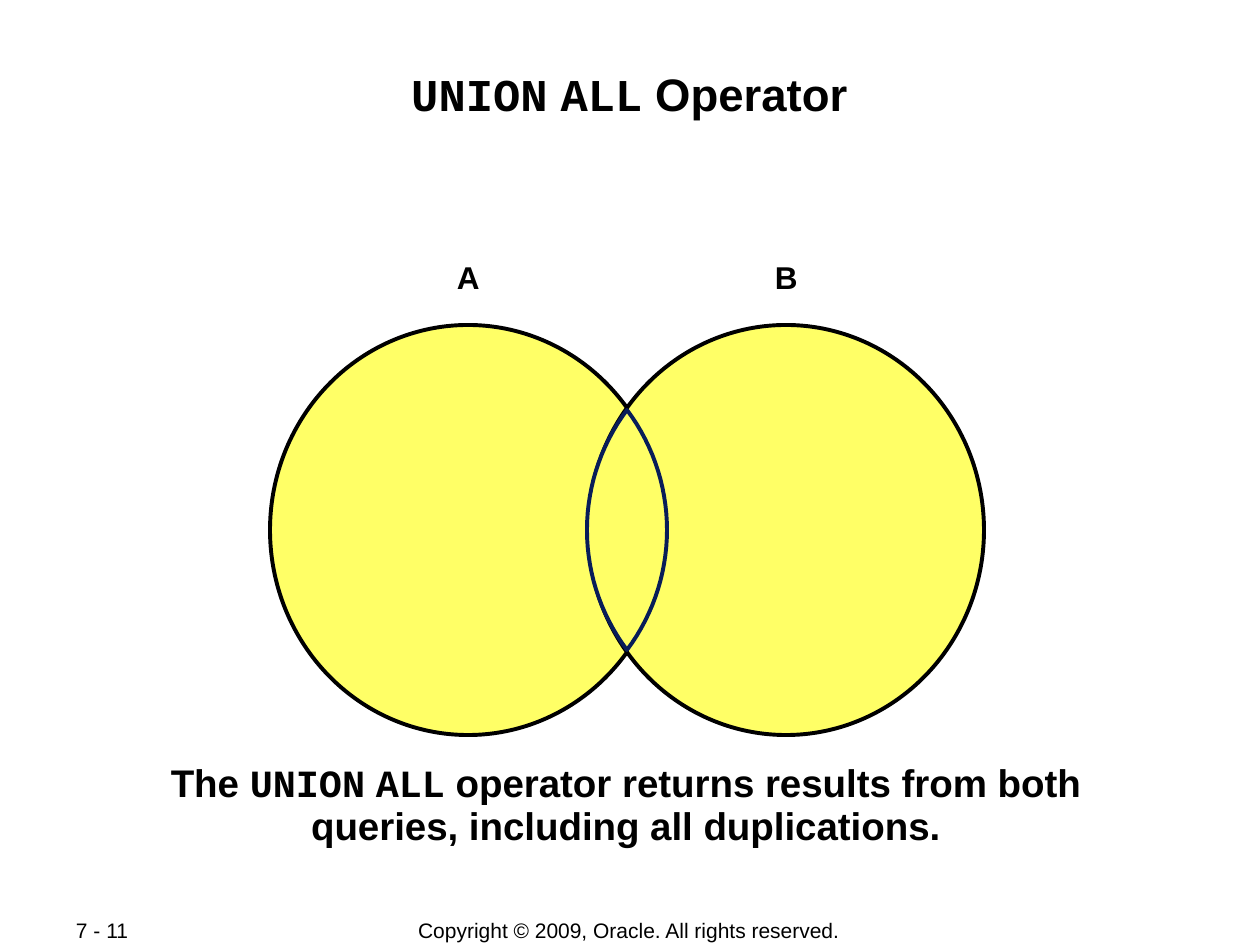
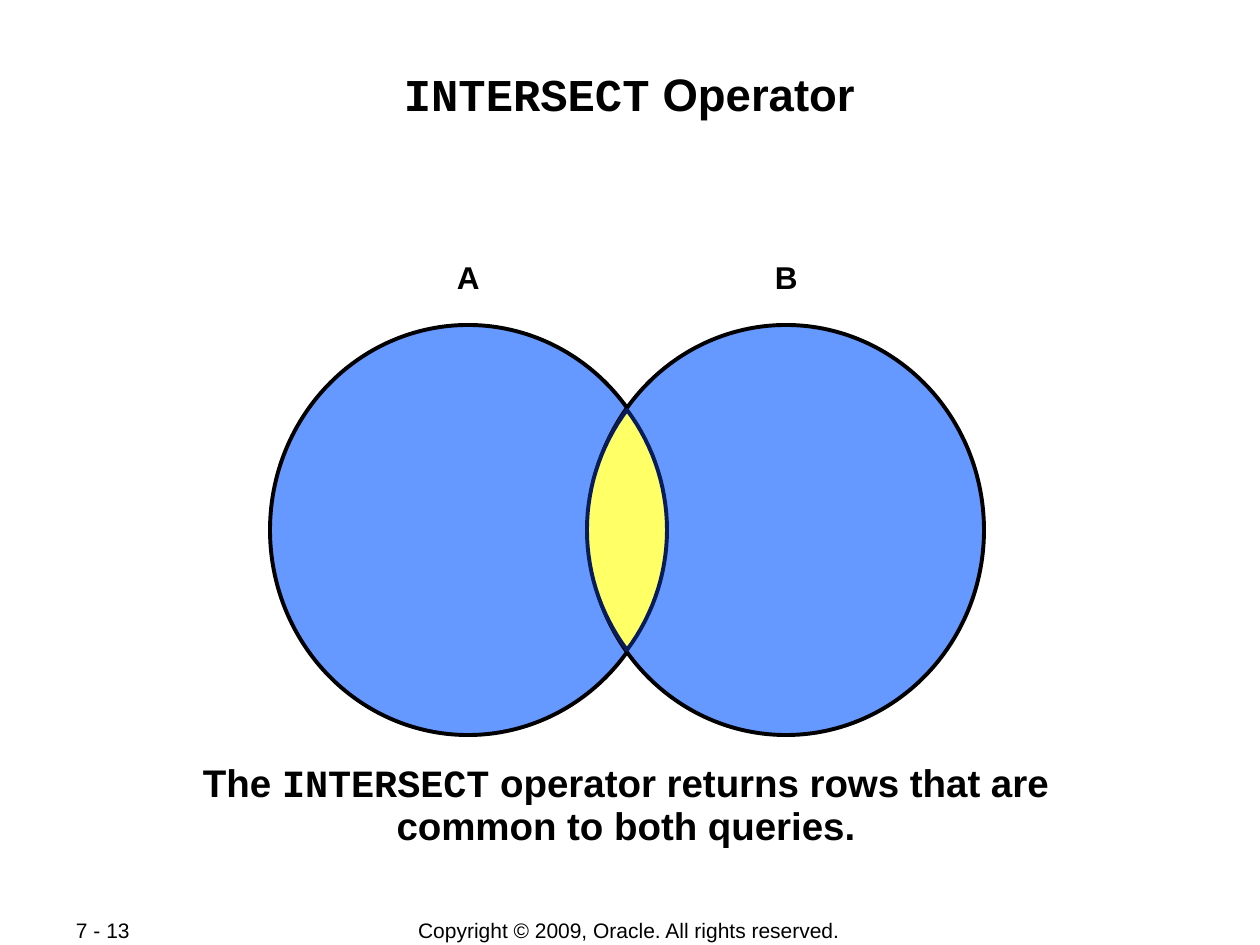
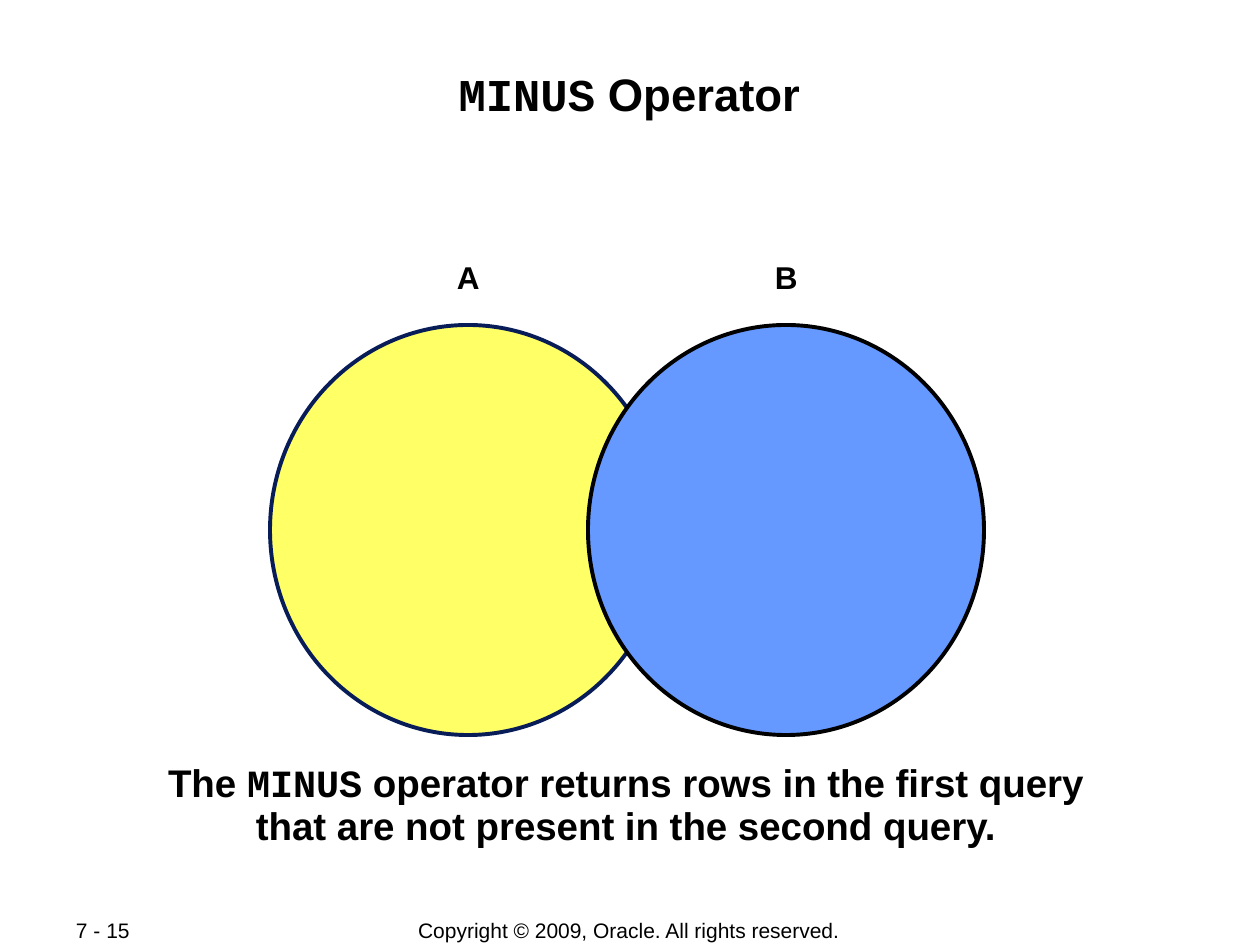
import math

import pptx
import pptx.dml.color
import pptx.enum.shapes
import pptx.enum.text
import pptx.util

# Content: words between backticks are set as code
COPYRIGHT = "Copyright © 2009, Oracle. All rights reserved."
SLIDES = [
    {
        "page": "7 - 11",
        "title": "`UNION` `ALL` Operator",
        "caption": "The `UNION` `ALL` operator returns results from both queries, "
                   "including all duplications.",
        "caption_height": 101,
        "sets": [("A", "yellow", "black"), ("B", "yellow", "black")],
        "overlap": True,
    },
    {
        "page": "7 - 13",
        "title": "`INTERSECT` Operator",
        "caption": "The `INTERSECT` operator returns rows that are common to both queries.",
        "caption_height": 101,
        "sets": [("A", "blue", "black"), ("B", "blue", "black")],
        "overlap": True,
    },
    {
        "page": "7 - 15",
        "title": "`MINUS` Operator",
        "caption": "The `MINUS` operator returns rows in the first query "
                   "that are not present in the second query.",
        "caption_height": 161,
        "sets": [("A", "yellow", "navy"), ("B", "blue", "black")],
        "overlap": False,
    },
]

# Shared look
COLORS = {"black": "000000", "navy": "081D58", "yellow": "FFFF66", "blue": "6699FF"}
TEXT_FONT, CODE_FONT = "Arial", "Courier New"
ALIGN = pptx.enum.text.PP_ALIGN
ANCHOR = pptx.enum.text.MSO_ANCHOR

# Layout in px, 126 to the inch
EMU_PER_PX = 914400 / 126
SLIDE_W, SLIDE_H = 1260, 945
SET_LEFT, SET_TOP, SET_W, SET_H, SET_STEP = 270, 325, 396, 410, 318
LABEL_TOP, LABEL_W, LABEL_H = 252, 48, 50
OVERLAP_HALF_W, OVERLAP_HALF_H = 40, 120
ARC_STEPS = 30


def px(length):
    return pptx.util.Emu(round(length * EMU_PER_PX))


def color(name):
    return pptx.dml.color.RGBColor.from_string(COLORS[name])


def add_text(slide, text, box, size, bold=False, align=ALIGN.CENTER,
             anchor=ANCHOR.TOP, insets=(13, 6), wrap=True, spacing=None):
    frame = slide.shapes.add_textbox(*map(px, box)).text_frame
    frame.word_wrap = wrap
    frame.vertical_anchor = anchor
    frame.margin_left = frame.margin_right = px(insets[0])
    frame.margin_top = frame.margin_bottom = px(insets[1])
    paragraph = frame.paragraphs[0]
    paragraph.alignment = align
    if spacing:
        paragraph.line_spacing = spacing
    for index, part in enumerate(text.split("`")):
        if part:
            run = paragraph.add_run()
            run.text = part
            run.font.name = CODE_FONT if index % 2 else TEXT_FONT
            run.font.size = pptx.util.Pt(size)
            run.font.bold = bold
            run.font.color.rgb = color("black")


def paint(area, fill, outline):
    area.shadow.inherit = False
    area.fill.solid()
    area.fill.fore_color.rgb = color(fill)
    area.line.color.rgb = color(outline)
    area.line.width = pptx.util.Pt(2.25)


def add_overlap(slide):
    """Draw the lens where the two sets meet, from two mirrored arcs."""
    center_x = SET_LEFT + (SET_STEP + SET_W) / 2
    center_y = SET_TOP + SET_H / 2
    limit = math.acos(SET_STEP / SET_W)
    points = []
    for side in (1, -1):
        for step in range(ARC_STEPS):
            angle = limit * (2 * step / ARC_STEPS - 1)
            reach = (math.cos(angle) - math.cos(limit)) / (1 - math.cos(limit))
            rise = math.sin(angle) / math.sin(limit)
            points.append((px(center_x + side * OVERLAP_HALF_W * reach),
                           px(center_y + side * OVERLAP_HALF_H * rise)))
    builder = slide.shapes.build_freeform(*points[0])
    builder.add_line_segments(points[1:], close=True)
    paint(builder.convert_to_shape(), "yellow", "navy")


def add_sets(slide, sets):
    for index, (label, fill, outline) in enumerate(sets):
        left = SET_LEFT + index * SET_STEP
        circle = slide.shapes.add_shape(
            pptx.enum.shapes.MSO_SHAPE.OVAL, *map(px, (left, SET_TOP, SET_W, SET_H)))
        paint(circle, fill, outline)
        label_left = left + (SET_W - LABEL_W) // 2
        add_text(slide, label, (label_left, LABEL_TOP, LABEL_W, LABEL_H), 18,
                 bold=True, wrap=False)


def add_frame(slide, title, page):
    """Footer and title shared by every slide."""
    add_text(slide, COPYRIGHT, (346, 917, 566, 26), 12, anchor=ANCHOR.MIDDLE)
    add_text(slide, page, (63, 917, 134, 26), 12, align=ALIGN.LEFT, anchor=ANCHOR.MIDDLE)
    add_text(slide, title, (84, 60, 1091, 121), 26, bold=True, insets=(1, 6))


def main():
    deck = pptx.Presentation()
    deck.slide_width, deck.slide_height = px(SLIDE_W), px(SLIDE_H)
    for content in SLIDES:
        slide = deck.slides.add_slide(deck.slide_layouts[6])
        add_frame(slide, content["title"], content["page"])
        add_sets(slide, content["sets"])
        add_text(slide, content["caption"], (125, 756, 1002, content["caption_height"]),
                 22, bold=True, spacing=0.95)
        if content["overlap"]:
            add_overlap(slide)
    deck.save("out.pptx")


if __name__ == "__main__":
    main()
